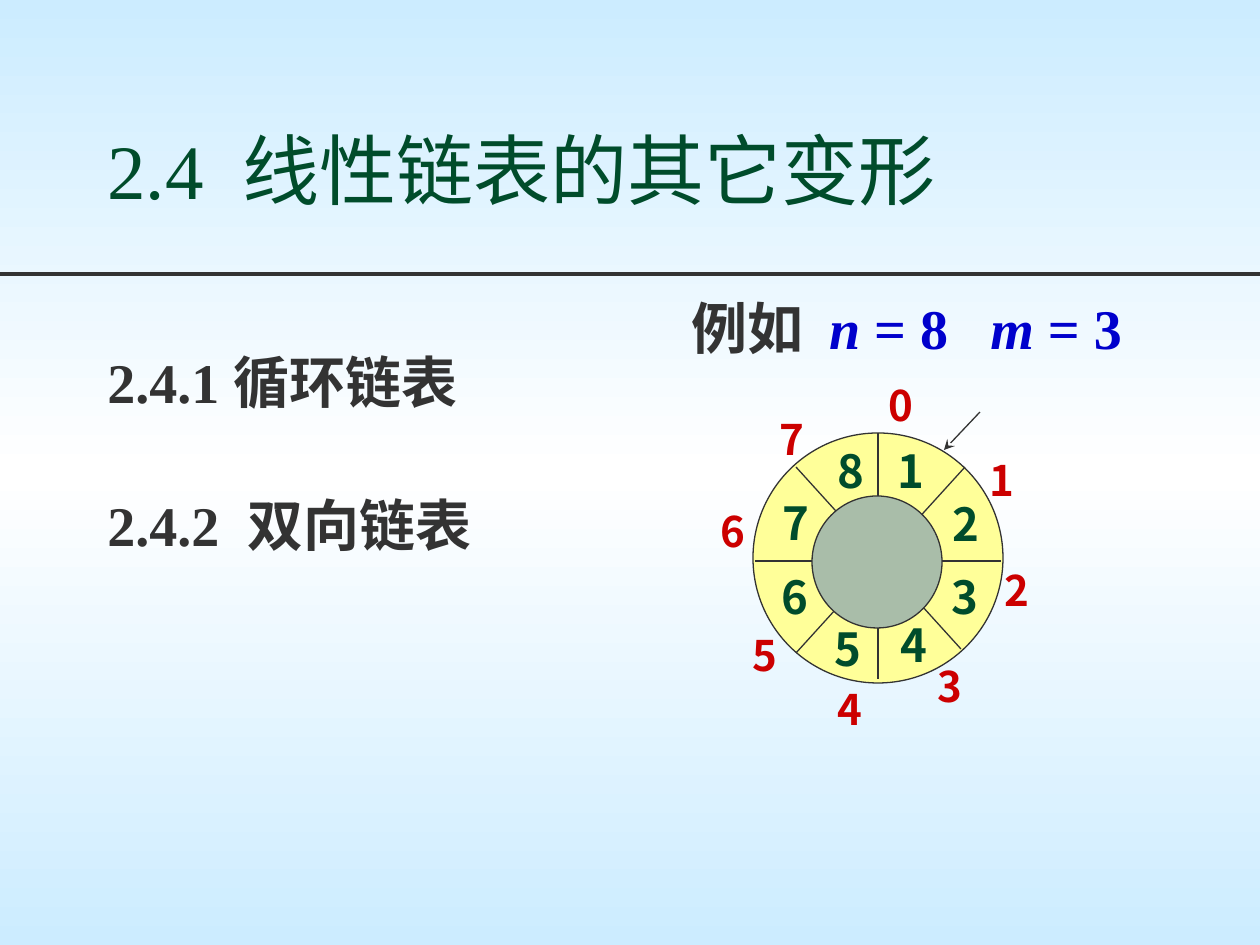
from copy import deepcopy

from lxml import etree
from pptx import Presentation
from pptx.dml.color import RGBColor
from pptx.enum.shapes import MSO_CONNECTOR, MSO_SHAPE
from pptx.enum.text import MSO_ANCHOR
from pptx.oxml.ns import qn
from pptx.util import Pt

PX = 914400 / 126
OVAL, LINE = MSO_SHAPE.OVAL, MSO_CONNECTOR.STRAIGHT
TOP, BOTTOM = MSO_ANCHOR.TOP, MSO_ANCHOR.BOTTOM


class Theme:
    ink, green, blue, red = "333333", "004C2B", "0000CC", "CC0000"
    ring, hub, sky, white = "FFFF99", "A9BDA9", "CCECFF", "FFFFFF"
    serif, sans = "Times New Roman", "Noto Sans CJK SC"
    title, body, seat, index = 44, 32, 26, 24
    thin, thick = 0.75, 2


TITLE = "2.4  线性链表的其它变形"
TOPICS = ["2.4.1 循环链表", "2.4.2  双向链表"]
# Text, colour, italic
EXAMPLE = [
    ("例如  ", Theme.ink, False),
    ("n ", Theme.blue, True),
    ("= 8   ", Theme.blue, False),
    ("m", Theme.blue, True),
    (" = 3", Theme.blue, False),
]
# Left and top of each label, clockwise from the top of the ring
INDEXES = [(876, 374), (977, 449), (992, 559), (925, 655),
           (825, 678), (740, 624), (708, 500), (767, 408)]
SEATS = [(885, 437), (940, 490), (939, 563), (888, 611),
         (822, 615), (769, 563), (770, 489), (825, 437)]
SPOKES = [(755, 561, 1001, 561), (878, 433, 878, 679),
          (965, 467, 796, 653), (796, 467, 961, 649)]


def px(*sizes):
    return [round(size * PX) for size in sizes]


def rgb(code):
    return RGBColor.from_string(code)


def add_text(slide, text, box, size, color=Theme.ink, font=Theme.serif,
             bold=True, wrap=True, anchor=TOP, inset=6, gap=0, spacing=None):
    """Add a text box; each paragraph is a string or a list of styled runs."""
    frame = slide.shapes.add_textbox(*px(*box)).text_frame
    frame.word_wrap, frame.vertical_anchor = wrap, anchor
    frame.margin_top = px(inset)[0]
    paras = [text] if isinstance(text, str) else text
    for i, para in enumerate(paras):
        p = frame.paragraphs[0] if i == 0 else frame.add_paragraph()
        if i:
            p.space_before = Pt(gap)
        if spacing:
            p.line_spacing = spacing
        runs = [(para, color, False)] if isinstance(para, str) else para
        for words, tint, slant in runs:
            run = p.add_run()
            run.text = words
            run.font.name, run.font.size = font, Pt(size)
            run.font.bold, run.font.italic = bold, slant
            run.font.color.rgb = rgb(tint)
            east = etree.SubElement(run.font._element, qn("a:ea"))
            east.set("typeface", Theme.sans)


def add_line(slide, ends, width=Theme.thin, arrow=False):
    line = slide.shapes.add_connector(LINE, *px(*ends))
    line.line.color.rgb, line.line.width = rgb(Theme.ink), Pt(width)
    if arrow:
        tip = etree.SubElement(line.line._get_or_add_ln(), qn("a:tailEnd"))
        tip.set("type", "stealth")
    etree.SubElement(line._element.spPr, qn("a:effectLst"))


def add_disc(slide, box, fill):
    disc = slide.shapes.add_shape(OVAL, *px(*box))
    disc.shadow.inherit = False
    disc.fill.solid()
    disc.fill.fore_color.rgb = rgb(fill)
    disc.line.color.rgb, disc.line.width = rgb(Theme.ink), Pt(Theme.thin)


def paint_sky(slide):
    """Fade the background from sky to white and back, top to bottom."""
    fill = slide.background.fill
    fill.gradient()
    fill.gradient_angle = 90
    for stop in fill.gradient_stops:
        stop.color.rgb = rgb(Theme.sky)
    first = slide._element.find(".//" + qn("a:gs"))
    first.addnext(deepcopy(first))
    for stop, (place, color) in zip(fill.gradient_stops, [
            (0, Theme.sky), (0.5, Theme.white), (1, Theme.sky)]):
        stop.position, stop.color.rgb = place, rgb(color)


def draw_ring(slide):
    add_disc(slide, (753, 433, 250, 250), Theme.ring)
    for spoke in SPOKES:
        add_line(slide, spoke)
    add_disc(slide, (812, 496, 130, 132), Theme.hub)
    for i, spot in enumerate(INDEXES):
        add_text(slide, str(i), (*spot, 49, 63), Theme.index, Theme.red,
                 Theme.sans, wrap=False)
    for i, spot in enumerate(SEATS, 1):
        add_text(slide, str(i), (*spot, 50, 67), Theme.seat, Theme.green,
                 Theme.sans, wrap=False)
    add_line(slide, (980, 412, 944, 450), arrow=True)


def main():
    deck = Presentation()
    deck.slide_width, deck.slide_height = px(1260, 945)
    slide = deck.slides.add_slide(deck.slide_layouts[6])
    paint_sky(slide)
    add_text(slide, TITLE, (95, 63, 1071, 158), Theme.title, Theme.green,
             bold=False, anchor=BOTTOM)
    add_text(slide, TOPICS, (95, 273, 1071, 567), Theme.body,
             inset=75, gap=43)
    add_line(slide, (0, 274, 1260, 274), Theme.thick)
    add_text(slide, [EXAMPLE], (679, 295, 512, 95), Theme.body, spacing=0.9)
    draw_ring(slide)
    deck.save("out.pptx")


if __name__ == "__main__":
    main()
